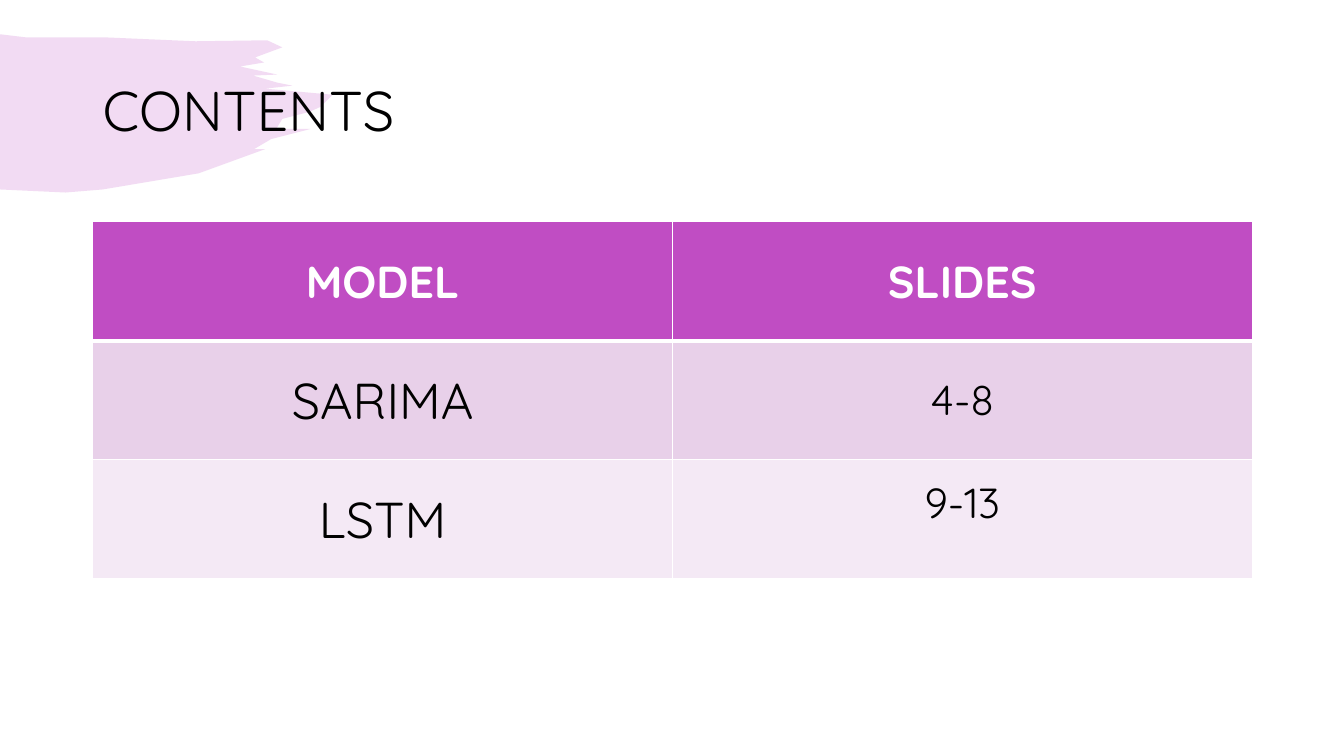
from pptx import Presentation, util as u
from pptx.dml.color import RGBColor
from pptx.enum import text
from pptx.oxml.ns import qn
from lxml import etree

Inches, Pt = u.Inches, u.Pt
PURPLE = RGBColor(0xC0, 0x4D, 0xC3)
LILAC = RGBColor(0xE8, 0xD0, 0xE9)
PALE = RGBColor(0xF4, 0xE9, 0xF5)
WHITE = RGBColor(0xFF, 0xFF, 0xFF)
BLACK = RGBColor(0, 0, 0)
FONT = "Quicksand"

# Brush outline: top edge, ragged tip, bottom edge
BRUSH_OUTLINE = [
    (0.25, 0.37), (1.02, 0.37), (1.94, 0.41), (2.65, 0.4), (2.8, 0.47),
    (2.53, 0.57), (2.62, 0.62), (2.38, 0.66), (2.75, 0.74), (2.51, 0.75),
    (2.75, 0.82), (2.9, 0.85), (2.63, 0.88), (3.3, 0.94), (3.18, 1.06),
    (3.07, 1.11), (2.8, 1.18), (2.74, 1.28), (3.08, 1.28), (2.69, 1.38),
    (2.52, 1.48), (2.63, 1.48), (1.97, 1.72), (1.02, 1.88), (0.65, 1.91),
    (0, 1.88),
]

# Rows: labels, text sizes, fill, text colour, bold, bottom border width
ROWS = [
    (("MODEL", "SLIDES"), (32, 32), PURPLE, WHITE, True, 3),
    (("SARIMA", "4-8"), (36, 30), LILAC, BLACK, False, 1),
    (("LSTM", "9-13"), (36, 30), PALE, BLACK, False, 1),
]


def set_format(target, values):
    for name, value in values.items():
        setattr(target, name, value)


def write(frame, words, size, color, bold=False, **paragraph_format):
    paragraph = frame.paragraphs[0]
    set_format(paragraph, paragraph_format)
    run = paragraph.add_run()
    run.text = words
    set_format(run.font, {"name": FONT, "size": Pt(size), "bold": bold})
    run.font.color.rgb = color


def add_brush(slide):
    builder = slide.shapes.build_freeform(0, Inches(0.34))
    builder.add_line_segments([(Inches(x), Inches(y)) for x, y in BRUSH_OUTLINE])
    brush = builder.convert_to_shape()
    brush.shadow.inherit = False
    brush.line.fill.background()
    brush.fill.solid()
    brush.fill.fore_color.rgb = PURPLE
    color = brush.element.spPr.find(".//" + qn("a:srgbClr"))
    etree.SubElement(color, qn("a:alpha"), val="20000")


def add_title(slide, words):
    box = slide.shapes.add_textbox(Inches(0.92), Inches(0.4), Inches(11.5), Inches(1.45))
    set_format(box.text_frame, {"word_wrap": True,
                                "vertical_anchor": text.MSO_ANCHOR.MIDDLE})
    write(box.text_frame, words, 40, BLACK, line_spacing=0.9)


def add_borders(cell, widths):
    properties = cell._tc.get_or_add_tcPr()
    for side, width in widths.items():
        line = etree.SubElement(properties, qn("a:ln" + side), w=str(Pt(width)))
        fill = etree.SubElement(line, qn("a:solidFill"))
        etree.SubElement(fill, qn("a:srgbClr"), val=str(WHITE))


def add_contents_table(slide):
    table = slide.shapes.add_table(len(ROWS), 2, Inches(0.92), Inches(2.2),
                                   Inches(11.5), Inches(3.54)).table
    top_width = 1
    for r, (labels, sizes, fill, color, bold, bottom_width) in enumerate(ROWS):
        for c, (label, size) in enumerate(zip(labels, sizes)):
            cell = table.cell(r, c)
            add_borders(cell, {"L": 1, "R": 1, "T": top_width, "B": bottom_width})
            cell.fill.solid()
            cell.fill.fore_color.rgb = fill
            cell.vertical_anchor = text.MSO_ANCHOR.MIDDLE
            write(cell.text_frame, label, size, color, bold,
                  alignment=text.PP_ALIGN.CENTER)
        top_width = bottom_width
    # The last slide range sits above the middle of its row
    table.cell(2, 1).margin_bottom = Inches(0.37)


def main():
    deck = Presentation()
    set_format(deck, {"slide_width": Inches(13.33), "slide_height": Inches(7.5)})
    slide = deck.slides.add_slide(deck.slide_layouts[6])
    add_brush(slide)
    add_title(slide, "CONTENTS")
    add_contents_table(slide)
    deck.save("out.pptx")


if __name__ == "__main__":
    main()
